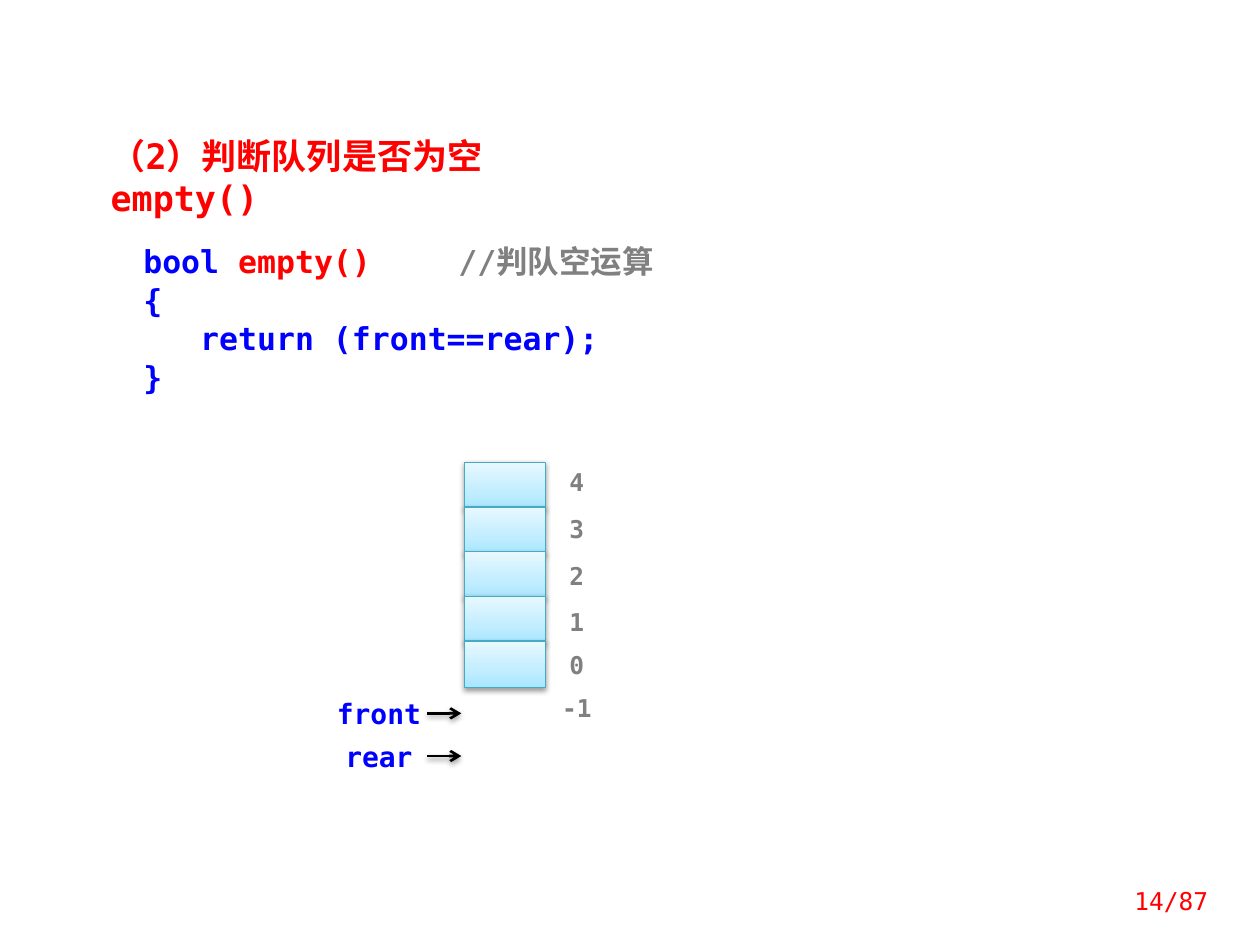
from pptx import Presentation
from pptx.dml.color import RGBColor
from pptx.enum.shapes import MSO_CONNECTOR as CONN, MSO_SHAPE as SHAPE
from pptx.enum.text import MSO_ANCHOR as ANCHOR, MSO_AUTO_SIZE as FIT, PP_ALIGN as ALIGN
from pptx.oxml import parse_xml
from pptx.oxml.ns import nsdecls, qn
from pptx.util import Cm, Pt

COLORS = {"red": "FF0000", "blue": "0000FF", "gray": "808080", "white": "FFFFFF",
          "black": "000000", "edge": "46AAC5"}
CELL_STOPS = [(0, "A7E6FF"), (35, "C1EDFF"), (100, "E7F8FF")]
FONT = "DejaVu Sans Mono"


def add_text(s, lines, size, bold=True, align=ALIGN.LEFT, insets=(0.25, 0.13, 0.25, 0.13),
             anchor=ANCHOR.TOP, spacing=None):
    """Write lines, each a list of (text, color) runs, into shape s."""
    tf = s.text_frame
    tf.word_wrap = True
    tf.vertical_anchor = anchor
    tf.margin_left, tf.margin_top, tf.margin_right, tf.margin_bottom = map(Cm, insets)
    for i, runs in enumerate(lines):
        p = tf.add_paragraph() if i else tf.paragraphs[0]
        p.alignment = align
        if spacing:
            p.line_spacing = Pt(spacing)
        for text, color in runs:
            r = p.add_run()
            r.text = text
            r.font.name, r.font.size, r.font.bold = FONT, Pt(size), bold
            r.font.color.rgb = RGBColor.from_string(COLORS[color])


def add_shadow(s):
    """Give shape or connector s a soft shadow below it."""
    s._element.spPr.append(parse_xml(
        f'<a:effectLst {nsdecls("a")}><a:outerShdw blurRad="{Pt(3.1)}" dist="{Pt(1.6)}" '
        f'dir="5400000" rotWithShape="0"><a:srgbClr val="{COLORS["black"]}">'
        '<a:alpha val="38000"/></a:srgbClr></a:outerShdw></a:effectLst>'))


prs = Presentation()
prs.slide_width, prs.slide_height = Cm(25.4), Cm(19.05)
slide = prs.slides.add_slide(prs.slide_layouts[6])
shapes = slide.shapes

# Heading
s = shapes.add_textbox(Cm(1.98), Cm(2.59), Cm(10.92), Cm(1.12))
add_text(s, [[("（2）判断队列是否为空empty()", "red")]], 20)
s.text_frame.auto_size = FIT.SHAPE_TO_FIT_TEXT

# White panels: code, slot indexes, pointer names
code = [[("bool ", "blue"), ("empty()\t\t", "red"), ("//判队空运算", "gray")],
        [("{", "blue")],
        [("   return (front==rear);", "blue")],
        [("}", "blue")]]
panels = [((2.39, 4.57, 17.07, 3.73), code,
           dict(size=18, insets=(0.5, 0.3, 0.25, 0.3), spacing=22))]
centered = dict(align=ALIGN.CENTER, insets=(0, 0, 0, 0))
index_tops = [9.42, 10.36, 11.3, 12.24, 13.11, 13.97]
for text, top in zip(["4", "3", "2", "1", "0", "-1"], index_tops):
    panels.append(((11.25, top, 0.76, 0.69), [[(text, "gray")]], dict(size=14, **centered)))
pointers = [("front", 14.05), ("rear", 14.91)]
for text, top in pointers:
    panels.append(((6.55, top, 2.18, 0.76), [[(text, "blue")]], dict(size=16, **centered)))

for box, lines, style in panels:
    s = shapes.add_shape(SHAPE.RECTANGLE, *map(Cm, box))
    s.shadow.inherit = False
    s.fill.solid()
    s.fill.fore_color.rgb = RGBColor.from_string(COLORS["white"])
    s.line.fill.background()
    add_text(s, lines, **style)

# Queue slots
stops = "".join(f'<a:gs pos="{pos * 1000}"><a:srgbClr val="{color}"/></a:gs>'
                for pos, color in CELL_STOPS)
for i in range(5):
    s = shapes.add_shape(SHAPE.RECTANGLE, Cm(9.37), Cm(9.32 + 0.9 * i), Cm(1.63), Cm(0.94))
    s.line.color.rgb = RGBColor.from_string(COLORS["edge"])
    s.line.width = Pt(0.75)
    s._element.spPr.find(qn("a:prstGeom")).addnext(parse_xml(
        f'<a:gradFill {nsdecls("a")} rotWithShape="1"><a:gsLst>{stops}</a:gsLst>'
        '<a:lin ang="16200000" scaled="0"/></a:gradFill>'))
    add_shadow(s)

# Pointer arrows
for _, top in pointers:
    y = Cm(top + 0.33)
    c = shapes.add_connector(CONN.STRAIGHT, Cm(8.61), y, Cm(9.3), y)
    c.line.color.rgb = RGBColor.from_string(COLORS["black"])
    c.line.width = Pt(1.5)
    c._element.spPr.find(qn("a:ln")).append(
        parse_xml(f'<a:tailEnd {nsdecls("a")} type="arrow"/>'))
    add_shadow(c)

# Page number
s = shapes.add_textbox(Cm(22.02), Cm(17.65), Cm(2.59), Cm(1.02))
add_text(s, [[("14/87", "red")]], 14, bold=False, align=ALIGN.RIGHT, anchor=ANCHOR.MIDDLE)

prs.save("out.pptx")
